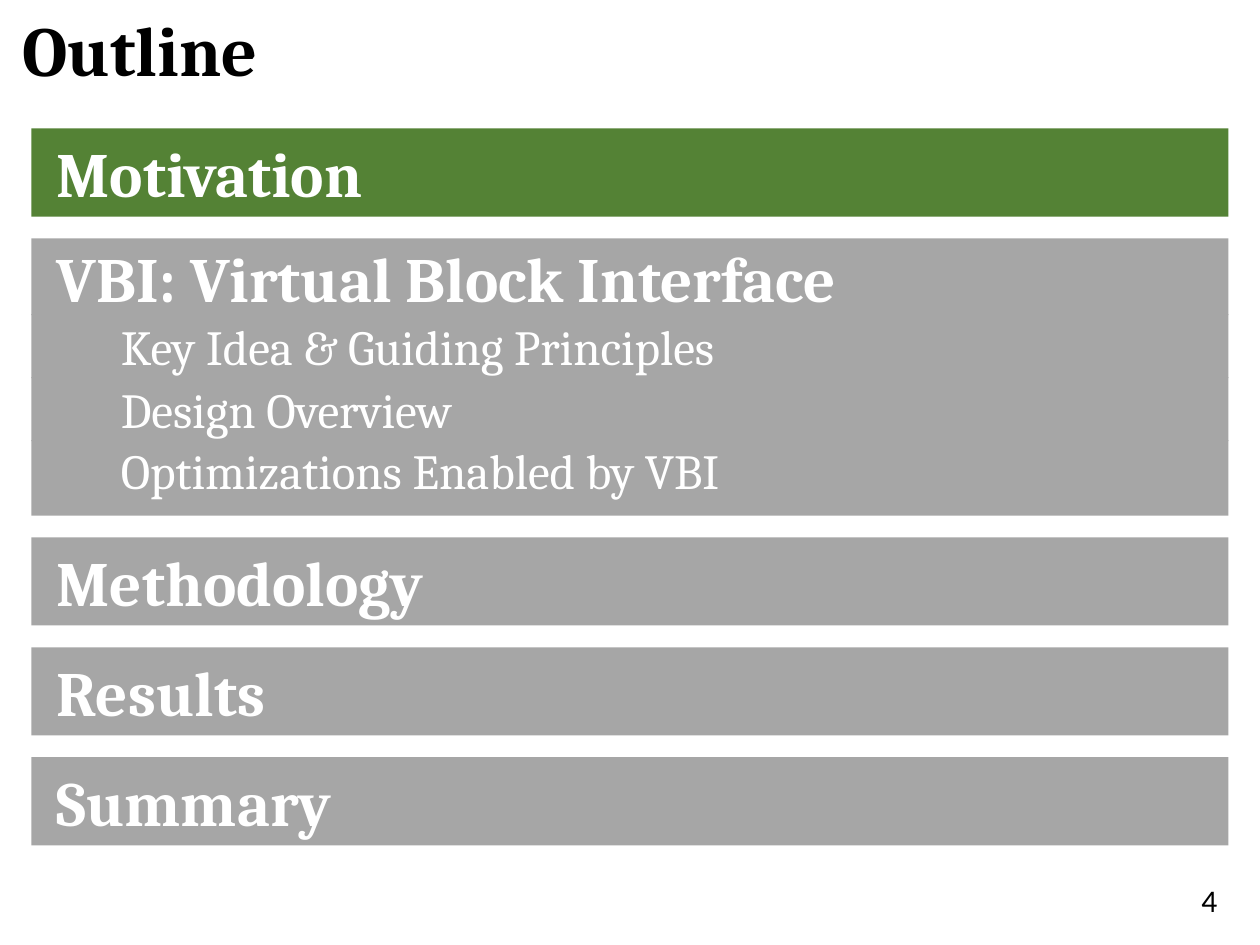
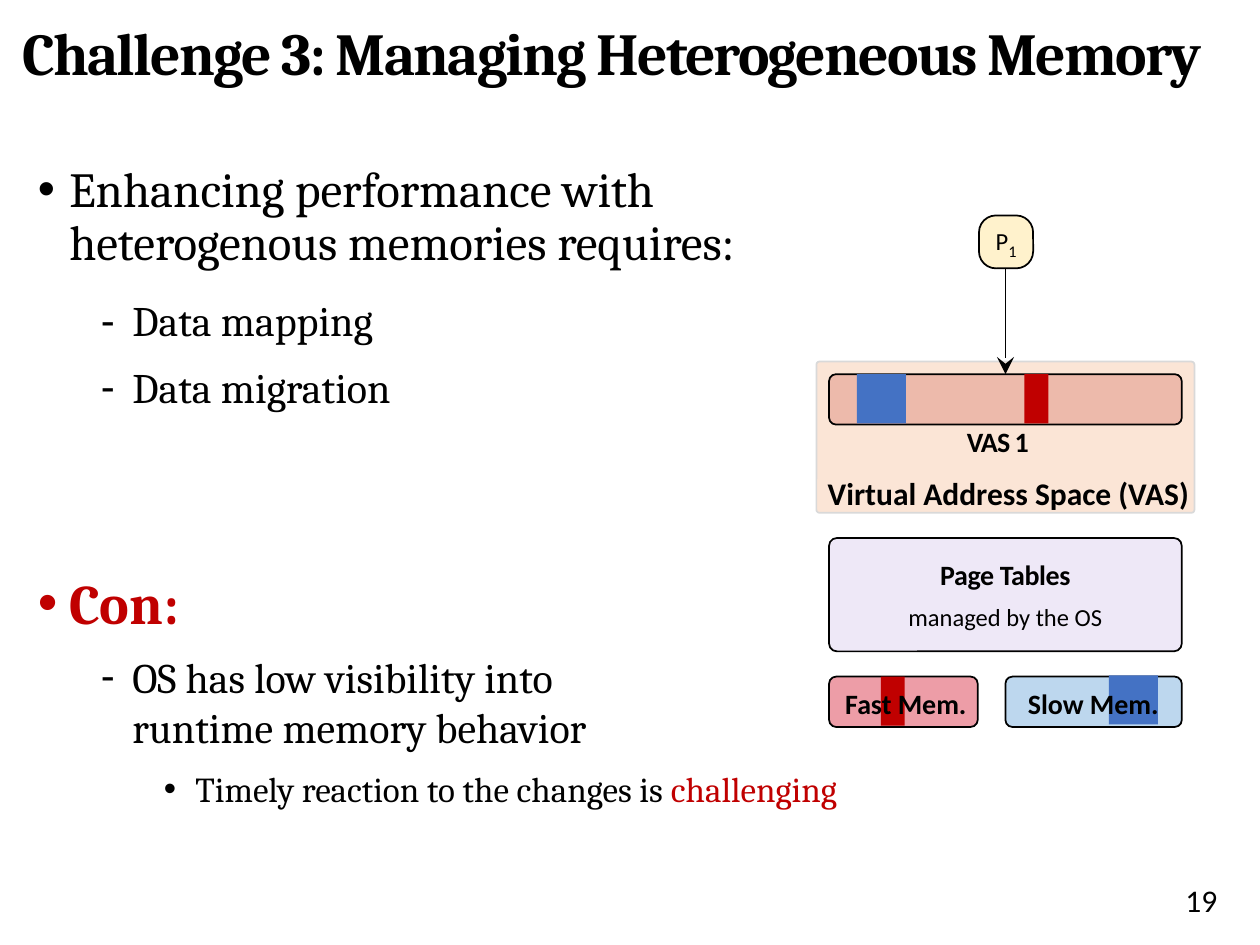
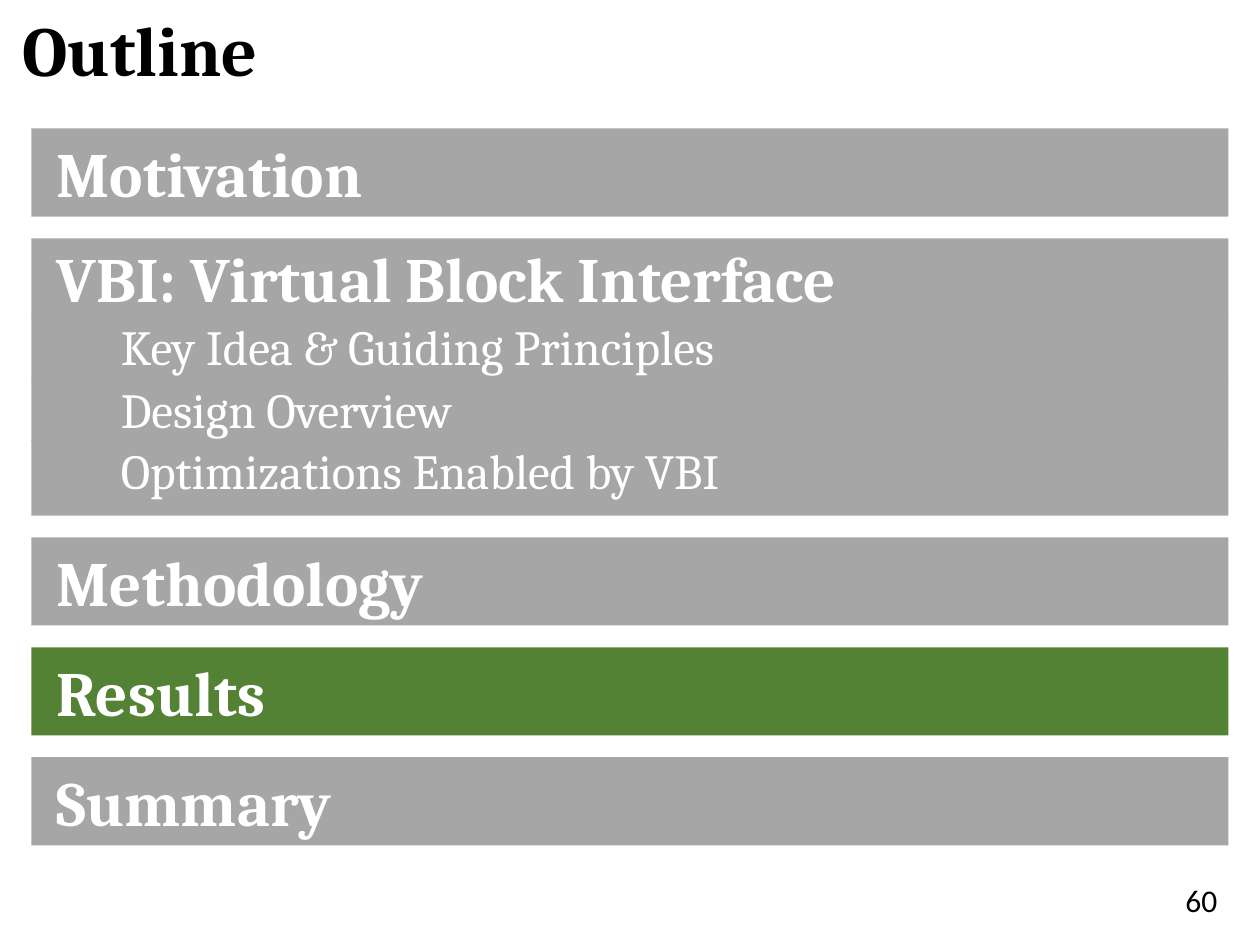
from dataclasses import dataclass
from typing import Optional

import lxml.etree
import pptx
import pptx.dml.color
import pptx.enum.shapes
import pptx.enum.text
import pptx.oxml.ns
import pptx.util

Inches = pptx.util.Inches
Pt = pptx.util.Pt
Align = pptx.enum.text.PP_ALIGN
Anchor = pptx.enum.text.MSO_ANCHOR
Preset = pptx.enum.shapes.MSO_SHAPE

SERIF, SANS = "Cambria", "Calibri"
BLACK, WHITE, RED, BLUE = "000000", "FFFFFF", "C00000", "4472C4"
ACTIVE, INACTIVE = "548235", "A6A6A6"
TITLE_ONLY, TITLE_AND_BODY = 5, 1
OUTLINE_TOP, OUTLINE_BOTTOM = 1.02, 6.71


@dataclass
class Run:
    text: str
    size: float
    color: str = BLACK
    bold: bool = False
    font: str = SANS
    spacing: float = 0
    baseline: int = 0


@dataclass
class Box:
    left: float
    top: float
    width: float
    height: float
    fill: str
    line: Optional[str] = None
    corner: Optional[float] = None


@dataclass
class Bullet:
    level: int
    symbol: str
    runs: list[Run]
    before: float
    line_spacing: float


@dataclass
class Section:
    name: str
    topics: tuple[str, ...] = ()

    def heights(self) -> list[float]:
        """Heights of the section's bars, heading first."""
        if not self.topics:
            return [0.7]
        return [0.6] + [0.5] * (len(self.topics) - 1) + [0.6]


SECTIONS = [
    Section("Motivation"),
    Section("VBI: Virtual Block Interface",
            ("Key Idea & Guiding Principles", "Design Overview", "Optimizations Enabled by VBI")),
    Section("Methodology"),
    Section("Results"),
    Section("Summary"),
]

BULLETS = [
    Bullet(0, "•", [Run("Enhancing performance with\nheterogenous memories requires:", 28, font=SERIF)], 0, 0.9),
    Bullet(1, "-", [Run("Data mapping", 24, font=SERIF)], 17, 0.9),
    Bullet(1, "-", [Run("Data migration", 24, font=SERIF)], 12, 0.9),
    Bullet(0, "•", [Run("Con:", 32, RED, True, SERIF)], 89, 1.0),
    Bullet(1, "-", [Run("OS has low visibility into\nruntime memory behavior", 24, font=SERIF)], 9, 1.0),
    Bullet(2, "•", [Run("Timely reaction to the changes is ", 20, font=SERIF),
                    Run("challenging", 20, RED, font=SERIF)], 9, 1.0),
]


def rgb(color: str):
    return pptx.dml.color.RGBColor.from_string(color)


def add_runs(paragraph, runs: list[Run]) -> None:
    for styled in runs:
        for index, line in enumerate(styled.text.split("\n")):
            if index:
                paragraph.add_line_break()
            run = paragraph.add_run()
            run.text = line
            run.font.name = styled.font
            run.font.size = Pt(styled.size)
            run.font.bold = styled.bold
            run.font.color.rgb = rgb(styled.color)
            properties = run._r.get_or_add_rPr()
            if styled.spacing:
                properties.set("spc", str(round(styled.spacing * 100)))
            if styled.baseline:
                properties.set("baseline", str(styled.baseline * 1000))


def set_frame(frame, anchor, margins: tuple[float, ...], wrap: bool = True) -> None:
    """Set anchor, wrapping and the left, top, right and bottom margins."""
    frame.auto_size = pptx.enum.text.MSO_AUTO_SIZE.NONE
    frame.word_wrap = wrap
    frame.vertical_anchor = anchor
    frame.margin_left, frame.margin_top, frame.margin_right, frame.margin_bottom = map(Inches, margins)


def place(shape, left: float, top: float, width: float, height: float) -> None:
    shape.left, shape.top = Inches(left), Inches(top)
    shape.width, shape.height = Inches(width), Inches(height)


def add_box(slide, box: Box):
    preset = Preset.RECTANGLE if box.corner is None else Preset.ROUNDED_RECTANGLE
    shape = slide.shapes.add_shape(
        preset, Inches(box.left), Inches(box.top), Inches(box.width), Inches(box.height))
    shape.shadow.inherit = False
    if box.corner is not None:
        shape.adjustments[0] = box.corner
    shape.fill.solid()
    shape.fill.fore_color.rgb = rgb(box.fill)
    if box.line:
        shape.line.color.rgb = rgb(box.line)
        shape.line.width = Pt(1)
    else:
        shape.line.fill.background()
    return shape


def write(shape, runs: list[Run], align=Align.CENTER, anchor=Anchor.MIDDLE,
          margins: tuple[float, ...] = (0, 0, 0, 0), wrap: bool = True):
    """Fill the first paragraph of a shape and return it."""
    set_frame(shape.text_frame, anchor, margins, wrap)
    paragraph = shape.text_frame.paragraphs[0]
    paragraph.alignment = align
    add_runs(paragraph, runs)
    return paragraph


def add_label(slide, left: float, top: float, width: float, height: float, run: Run, **options) -> None:
    label = slide.shapes.add_textbox(Inches(left), Inches(top), Inches(width), Inches(height))
    write(label, [run], **options)


def add_slide(presentation, layout: int, title: Run, number: int, line_spacing: float):
    slide = presentation.slides.add_slide(presentation.slide_layouts[layout])
    place(slide.shapes.title, 0.08, 0.08, 9.83, 0.81)
    paragraph = write(slide.shapes.title, [title], Align.LEFT, Anchor.TOP, (0.1, 0.05, 0.1, 0.05))
    paragraph.line_spacing = line_spacing
    add_label(slide, 6.01, 6.94, 3.75, 0.4, Run(str(number), 18),
              align=Align.RIGHT, margins=(0.1, 0.05, 0.1, 0.05))
    return slide


def add_bar(slide, top: float, height: float, color: str, run: Run,
            indent: float = 0, margin: float = 0, anchor=Anchor.MIDDLE) -> None:
    bar = add_box(slide, Box(0.25, top, 9.5, height, color))
    write(bar, [run], Align.LEFT, anchor, (0.2 + indent, margin, 0.2, margin))


def build_outline(presentation, current: str, number: int) -> None:
    slide = add_slide(presentation, TITLE_ONLY, Run("Outline", 40, bold=True, font=SERIF), number, 0.9)
    bars_height = sum(sum(section.heights()) for section in SECTIONS)
    gap = (OUTLINE_BOTTOM - OUTLINE_TOP - bars_height) / (len(SECTIONS) - 1)
    top = OUTLINE_TOP
    for section in SECTIONS:
        color = ACTIVE if section.name == current else INACTIVE
        heights = section.heights()
        last = len(heights) - 1
        for index, (text, height) in enumerate(zip((section.name, *section.topics), heights)):
            overlap = 0.01 if index < last else 0
            if index == 0:
                add_bar(slide, top, height + overlap, color, Run(text, 36, WHITE, True, SERIF), margin=0.05)
            else:
                add_bar(slide, top, height + overlap, color, Run(text, 28, WHITE, font=SERIF), indent=0.51,
                        anchor=Anchor.TOP if index == last else Anchor.MIDDLE)
            top += height
        top += gap


def add_bullets(body, bullets: list[Bullet]) -> None:
    frame = body.text_frame
    for index, bullet in enumerate(bullets):
        paragraph = frame.add_paragraph() if index else frame.paragraphs[0]
        paragraph.level = bullet.level
        properties = paragraph._p.get_or_add_pPr()
        properties.set("marL", str(Inches(0.25 + 0.5 * bullet.level)))
        properties.set("indent", str(Inches(-0.25)))
        symbol = lxml.etree.SubElement(properties, pptx.oxml.ns.qn("a:buChar"))
        symbol.set("char", bullet.symbol)
        paragraph.line_spacing = bullet.line_spacing
        paragraph.space_before = Pt(bullet.before)
        paragraph.space_after = Pt(0)
        add_runs(paragraph, bullet.runs)


def add_arrow(slide, x: float, top: float, bottom: float) -> None:
    arrow = slide.shapes.add_connector(
        pptx.enum.shapes.MSO_CONNECTOR.STRAIGHT, Inches(x), Inches(top), Inches(x), Inches(bottom))
    arrow.line.color.rgb = rgb(BLACK)
    arrow.line.width = Pt(1)
    head = lxml.etree.SubElement(arrow.line._get_or_add_ln(), pptx.oxml.ns.qn("a:tailEnd"))
    for name, value in (("type", "stealth"), ("w", "lg"), ("len", "lg")):
        head.set(name, value)
    lxml.etree.SubElement(arrow._element.spPr, pptx.oxml.ns.qn("a:effectLst"))


def draw_memory_diagram(slide) -> None:
    left, width, bar_height = 6.58, 2.8, 0.4
    vas_top, memory_top = 2.97, 5.37

    address_space = add_box(slide, Box(6.48, 2.87, 3, 1.2, "FBE5D6", "D9D9D9", 0.02))
    caption = write(address_space, [Run("Virtual Address Space (VAS)", 18, bold=True)],
                    anchor=Anchor.BOTTOM, margins=(0.05, 0, 0, 0))
    caption.line_spacing = 0.8

    process = add_box(slide, Box(7.77, 1.71, 0.43, 0.42, "FFF2CC", BLACK, 0.32))
    write(process, [Run("P", 14), Run("1", 16, baseline=-25)])
    add_label(slide, 7.62, 3.37, 0.6, 0.27, Run("VAS 1", 16, bold=True, spacing=-0.5))

    page_tables = add_box(slide, Box(left, 4.27, width, 0.9, "EEE8F7", BLACK, 0.07))
    heading = write(page_tables, [Run("Page Tables", 16, bold=True, spacing=-0.2)])
    heading.space_after = Pt(6)
    manager = page_tables.text_frame.add_paragraph()
    manager.alignment = Align.CENTER
    add_runs(manager, [Run("managed by the OS", 14)])

    for box in (
        Box(left, vas_top, width, bar_height, "EDBAAB", BLACK, 0.14),
        Box(left, memory_top, 1.18, bar_height, "ED9DA7", BLACK, 0.14),
        Box(7.98, memory_top, 1.4, bar_height, "BDD7EE", BLACK, 0.14),
    ):
        add_box(slide, box)
    for mark_left, mark_top, mark_width, color in (
        (6.8, vas_top, 0.39, BLUE),
        (8.13, vas_top, 0.19, RED),
        (8.8, memory_top - 0.01, 0.39, BLUE),
        (6.99, memory_top, 0.19, RED),
    ):
        add_box(slide, Box(mark_left, mark_top, mark_width, 0.39, color))
    for label_left, label_width, text in ((6.61, 1.17, "Fast Mem."), (8.06, 1.25, "Slow Mem.")):
        add_label(slide, label_left, 5.4, label_width, 0.37, Run(text, 16, bold=True),
                  align=Align.LEFT, margins=(0.1, 0.05, 0.1, 0.05), wrap=False)
    add_arrow(slide, 7.98, 2.13, vas_top)


def build_challenge(presentation) -> None:
    title = Run("Challenge 3: Managing Heterogeneous Memory", 34, bold=True, font=SERIF, spacing=-1)
    slide = add_slide(presentation, TITLE_AND_BODY, title, 19, 1.0)
    body = slide.placeholders[1]
    place(body, 0.2, 1, 8.99, 5.82)
    set_frame(body.text_frame, Anchor.TOP, (0.1, 0.31, 0.1, 0.05))
    add_bullets(body, BULLETS)
    draw_memory_diagram(slide)


def main() -> None:
    presentation = pptx.Presentation()
    presentation.slide_width, presentation.slide_height = Inches(10), Inches(7.5)
    build_outline(presentation, "Motivation", 4)
    build_challenge(presentation)
    build_outline(presentation, "Results", 60)
    presentation.save("out.pptx")


if __name__ == "__main__":
    main()
